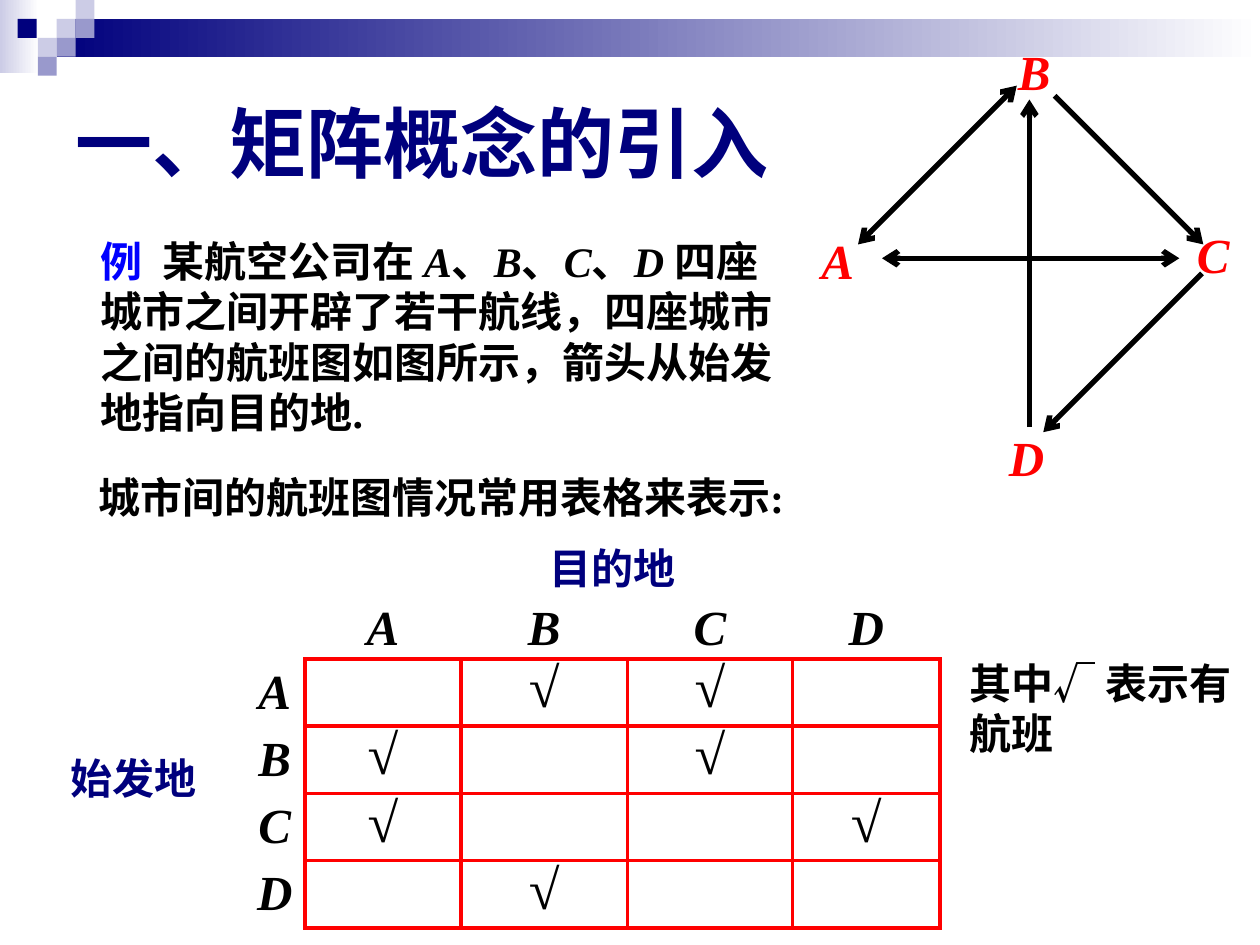
from dataclasses import dataclass

from lxml import etree
from pptx import Presentation
from pptx.dml.color import RGBColor
from pptx.enum.shapes import MSO_CONNECTOR, MSO_SHAPE
from pptx.enum.text import MSO_ANCHOR, MSO_AUTO_SIZE, PP_ALIGN
from pptx.oxml.ns import qn
from pptx.util import Inches, Pt

STRAIGHT = MSO_CONNECTOR.STRAIGHT
RECTANGLE = MSO_SHAPE.RECTANGLE
MIDDLE = MSO_ANCHOR.MIDDLE
FIT_SHAPE = MSO_AUTO_SIZE.SHAPE_TO_FIT_TEXT
CENTER = PP_ALIGN.CENTER


@dataclass(frozen=True)
class Theme:
    navy: str = "00007D"
    lilac: str = "9999CC"
    pale: str = "CCCCE6"
    white: str = "FFFFFF"
    black: str = "000000"
    red: str = "FF0000"
    blue: str = "0000FF"
    title_font: str = "Arial"
    body_font: str = "Times New Roman"
    title_size: int = 44
    check_size: int = 32
    letter_size: int = 28
    body_size: int = 24
    grid_width: float = 2.25
    arrow_width: float = 3


THEME = Theme()


@dataclass(frozen=True)
class Block:
    left: float
    top: float
    width: float
    height: float
    color: str
    fade_to: str = ""


@dataclass(frozen=True)
class Label:
    text: str
    left: float
    top: float
    width: float
    height: float
    color: str = THEME.black
    size: int = THEME.body_size
    italic: bool = False
    wrap: bool = False
    font: str = THEME.body_font


@dataclass(frozen=True)
class Route:
    start: tuple[float, float]
    end: tuple[float, float]
    both_ways: bool = False


SQUARE = 0.15
BLOCKS = [
    Block(0, 0, 0.31, 0.58, THEME.pale, THEME.white),
    Block(0.45, 0.15, 9.55, 0.3, THEME.navy, THEME.white),
    Block(0.14, 0.15, SQUARE, SQUARE, THEME.navy),
] + [
    Block(column * SQUARE, row * SQUARE, SQUARE, SQUARE, color)
    for column, row, color in [
        (3, 1, THEME.pale), (4, 0, THEME.pale), (2, 2, THEME.pale),
        (4, 1, THEME.lilac), (3, 2, THEME.lilac), (2, 3, THEME.lilac),
    ]
]

LABELS = [
    Label("其中√ 表示有航班", 7.6, 5.17, 2.4, 0.9, wrap=True),
    Label("始发地", 0.46, 5.92, 1.2, 0.5, THEME.navy),
    Label("目的地", 4.26, 4.26, 1.2, 0.5, THEME.navy),
    Label("城市间的航班图情况常用表格来表示:", 0.68, 3.69, 5.72, 0.5),
] + [
    Label(city, left, top, 0.46, 0.57, THEME.red, THEME.letter_size, italic=True)
    for city, left, top in [
        ("A", 6.42, 1.78), ("B", 7.98, 0.28), ("C", 9.4, 1.73), ("D", 7.91, 3.34),
    ]
]
TITLE = Label("一、矩阵概念的引入", 0.5, 0.5, 8.5, 1.25, THEME.navy,
              THEME.title_size, wrap=True, font=THEME.title_font)
EXAMPLE = Label("", 0.7, 1.82, 5.7, 1.7, wrap=True)

ROUTES = [
    Route((6.81, 1.94), (8.07, 0.68), both_ways=True),
    Route((9.54, 2.17), (8.28, 3.43)),
    Route((8.37, 0.76), (9.55, 1.94)),
    Route((7, 2.05), (9.36, 2.05), both_ways=True),
    Route((8.17, 3.39), (8.17, 0.79)),
]

# Destinations reached from each city
CITIES = "ABCD"
FLIGHTS = {"A": "BC", "B": "AC", "C": "AD", "D": "B"}
COLUMN_WIDTHS = [0.48, 1.24, 1.32, 1.31, 1.17]
ROW_HEIGHTS = [0.47] + [0.45] * 4


def rgb(color: str) -> RGBColor:
    return RGBColor.from_string(color)


def set_font(font, size: int, color: str, italic: bool | None = None,
             name: str = THEME.body_font) -> None:
    font.name, font.size, font.bold, font.italic = name, Pt(size), True, italic
    font.color.rgb = rgb(color)


def draw_block(slide, block: Block) -> None:
    shape = slide.shapes.add_shape(RECTANGLE, Inches(block.left), Inches(block.top),
                                   Inches(block.width), Inches(block.height))
    shape.shadow.inherit = False
    shape.line.fill.background()
    if block.fade_to:
        shape.fill.gradient()
        shape.fill.gradient_angle = 0
        for stop, color in zip(shape.fill.gradient_stops, (block.color, block.fade_to)):
            stop.color.rgb = rgb(color)
    else:
        shape.fill.solid()
        shape.fill.fore_color.rgb = rgb(block.color)


def draw_label(slide, label: Label):
    box = slide.shapes.add_textbox(Inches(label.left), Inches(label.top),
                                   Inches(label.width), Inches(label.height))
    frame = box.text_frame
    frame.word_wrap = label.wrap
    frame.auto_size = FIT_SHAPE
    frame.text = label.text
    set_font(frame.paragraphs[0].font, label.size, label.color, label.italic, label.font)
    return frame


def draw_example(slide) -> None:
    para = draw_label(slide, EXAMPLE).paragraphs[0]
    # The tab stop sets the gap after the heading word
    tabs = etree.Element(qn("a:tabLst"))
    etree.SubElement(tabs, qn("a:tab"), pos=str(Inches(0.49)), algn="l")
    para._p.get_or_add_pPr().insert(0, tabs)
    heading = [("例\t", THEME.blue, False), ("某航空公司在 ", THEME.black, False)]
    cities = [("A", True), ("、", False), ("B", True), ("、", False),
              ("C", True), ("、", False), ("D ", True)]
    ending = "四座城市之间开辟了若干航线，四座城市之间的航班图如图所示，箭头从始发地指向目的地."
    parts = heading + [(text, THEME.black, italic) for text, italic in cities]
    for text, color, italic in parts + [(ending, THEME.black, False)]:
        span = para.add_run()
        span.text = text
        set_font(span.font, THEME.body_size, color, italic)


def draw_route(slide, route: Route) -> None:
    points = [Inches(value) for value in route.start + route.end]
    arrow = slide.shapes.add_connector(STRAIGHT, *points)
    arrow.line.color.rgb = rgb(THEME.black)
    arrow.line.width = Pt(THEME.arrow_width)
    line = arrow.line._get_or_add_ln()
    for end in ("headEnd", "tailEnd") if route.both_ways else ("tailEnd",):
        etree.SubElement(line, qn(f"a:{end}"), type="arrow")
    etree.SubElement(arrow._element.spPr, qn("a:effectLst"))


def add_borders(cell, row: int, column: int) -> None:
    # Red edges surround only the cells inside the headings
    edges = {"lnL": row and column, "lnR": row, "lnT": row and column, "lnB": column}
    properties = cell._tc.get_or_add_tcPr()
    for edge, shown in edges.items():
        line = etree.SubElement(properties, qn(f"a:{edge}"), w=str(Pt(THEME.grid_width)))
        if shown:
            fill = etree.SubElement(line, qn("a:solidFill"))
            etree.SubElement(fill, qn("a:srgbClr"), val=THEME.red)
        else:
            etree.SubElement(line, qn("a:noFill"))


def draw_flight_table(slide) -> None:
    table = slide.shapes.add_table(
        len(ROW_HEIGHTS), len(COLUMN_WIDTHS), Inches(1.94), Inches(4.76),
        Inches(sum(COLUMN_WIDTHS)), Inches(sum(ROW_HEIGHTS))).table
    table.first_row = table.horz_banding = False
    for column, width in zip(table.columns, COLUMN_WIDTHS):
        column.width = Inches(width)
    for row, height in zip(table.rows, ROW_HEIGHTS):
        row.height = Inches(height)

    texts = [["", *CITIES]]
    for origin in CITIES:
        checks = ["√" if city in FLIGHTS[origin] else "" for city in CITIES]
        texts.append([origin, *checks])
    for row, line in enumerate(texts):
        for column, text in enumerate(line):
            cell = table.cell(row, column)
            add_borders(cell, row, column)
            cell.fill.background()
            cell.margin_left = cell.margin_right = cell.margin_top = cell.margin_bottom = 0
            cell.vertical_anchor = MIDDLE
            cell.text = text
            para = cell.text_frame.paragraphs[0]
            para.alignment = CENTER
            para.line_spacing = Pt(31)
            inside = bool(row and column)
            size = THEME.check_size if inside else THEME.letter_size
            set_font(para.font, size, THEME.black, not inside)


def main() -> None:
    deck = Presentation()
    deck.slide_width, deck.slide_height = Inches(10), Inches(7.5)
    slide = deck.slides.add_slide(deck.slide_layouts[6])
    # Banner and title
    for block in BLOCKS:
        draw_block(slide, block)
    draw_label(slide, TITLE).vertical_anchor = MIDDLE
    # Example, route diagram and flight table
    draw_example(slide)
    for label in LABELS:
        draw_label(slide, label)
    for route in ROUTES:
        draw_route(slide, route)
    draw_flight_table(slide)
    deck.save("out.pptx")


if __name__ == "__main__":
    main()
